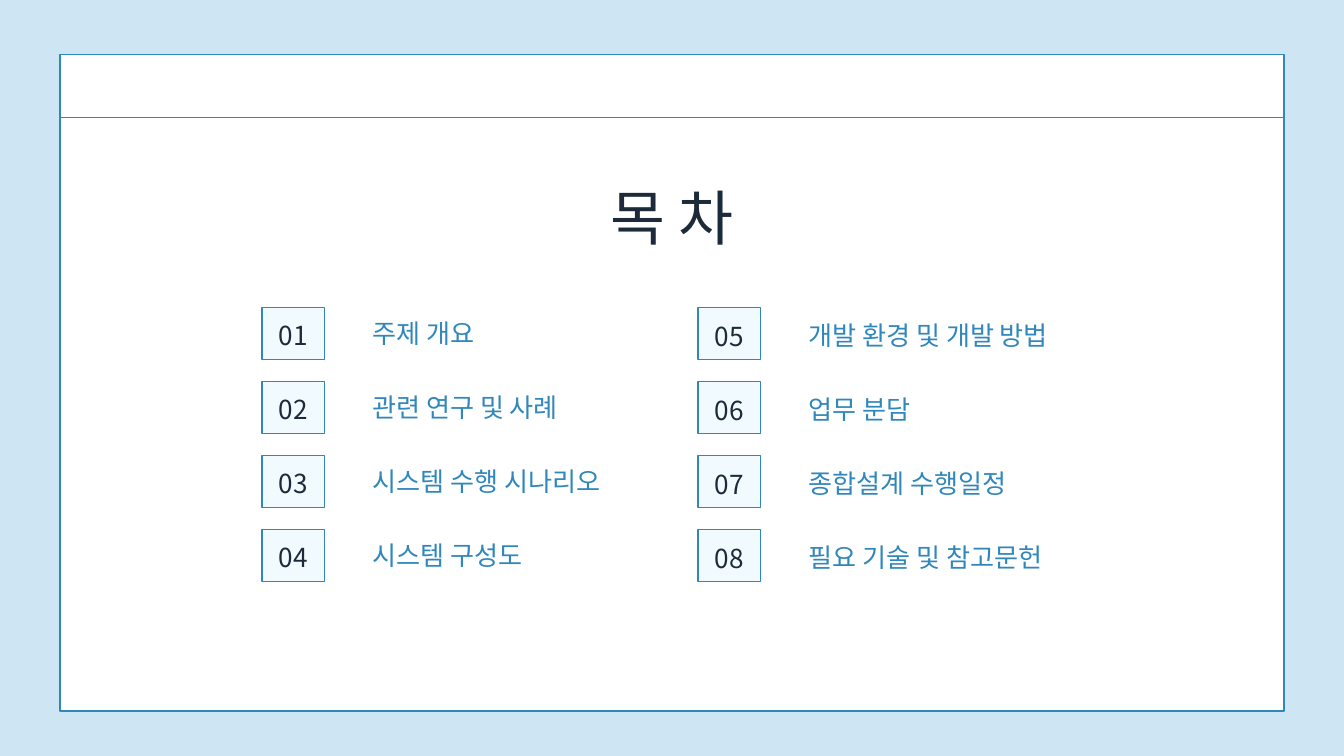
from lxml import etree
from pptx import Presentation
from pptx.dml.color import RGBColor
from pptx.enum.shapes import MSO_CONNECTOR, MSO_SHAPE
from pptx.enum.text import MSO_ANCHOR, PP_ALIGN
from pptx.oxml.ns import qn
from pptx.util import Inches, Pt

RECT = MSO_SHAPE.RECTANGLE
LINE = MSO_CONNECTOR.STRAIGHT
TOP = MSO_ANCHOR.TOP
LEFT, MID = PP_ALIGN.LEFT, PP_ALIGN.CENTER

SKY = RGBColor(0xCE, 0xE6, 0xF4)
WHITE = RGBColor(0xFF, 0xFF, 0xFF)
BLUE = RGBColor(0x30, 0x87, 0xBB)
PALE = RGBColor(0xF1, 0xFA, 0xFF)
DARK = RGBColor(0x1D, 0x2A, 0x3A)
FONT = "Noto Sans CJK KR"

WIDE, HIGH = 20, 11.25

deck = Presentation()
deck.slide_width, deck.slide_height = Inches(WIDE), Inches(HIGH)
slide = deck.slides.add_slide(deck.slide_layouts[6])
slide.background.fill.solid()
slide.background.fill.fore_color.rgb = SKY


def add_box(x, y, w, h, fill):
    box = slide.shapes.add_shape(RECT, Inches(x), Inches(y), Inches(w), Inches(h))
    box.shadow.inherit = False
    box.fill.solid()
    box.fill.fore_color.rgb = fill
    box.line.color.rgb = BLUE
    box.line.width = Pt(1.5)


def add_text(x, y, w, h, words, size, color, align, pitch):
    box = slide.shapes.add_textbox(Inches(x), Inches(y), Inches(w), Inches(h))
    frame = box.text_frame
    frame.word_wrap = True
    frame.vertical_anchor = TOP
    frame.margin_left = frame.margin_right = 0
    frame.margin_top = frame.margin_bottom = 0
    para = frame.paragraphs[0]
    para.alignment = align
    para.line_spacing = Pt(pitch)
    run = para.add_run()
    run.text = words
    run.font.size = Pt(size)
    run.font.color.rgb = color
    run.font.name = FONT
    # Korean letters take the East Asian font
    etree.SubElement(run.font._element, qn("a:ea")).set("typeface", FONT)


# Window frame with its title bar
edge, head, bar = 0.89, 0.81, 1.75
add_box(edge, head, WIDE - 2 * edge, 9.77, WHITE)
rule = slide.shapes.add_connector(
    LINE, Inches(edge), Inches(bar), Inches(WIDE - edge), Inches(bar))
rule.line.color.rgb = BLUE
rule.line.width = Pt(1.5)
etree.SubElement(rule._element.spPr, qn("a:effectLst"))

# Heading
span = 6.13
add_text((WIDE - span) / 2, 2.51, span, 1.19, "목 차", 64, DARK, MID, 89.6)

# Contents: two columns of four numbered rows
COLS = [
    (3.9, 4.73, ["주제 개요", "관련 연구 및 사례",
                 "시스템 수행 시나리오", "시스템 구성도"]),
    (10.39, 4.75, ["개발 환경 및 개발 방법", "업무 분담",
                   "종합설계 수행일정", "필요 기술 및 참고문헌"]),
]
STEP = 1.1
num = 0
for x, base, names in COLS:
    for row, name in enumerate(names):
        num += 1
        down = row * STEP
        add_box(x, 4.58 + down, 0.93, 0.77, PALE)
        add_text(x - 0.18, base + 0.02 + down, 1.29, 0.45,
                 f"{num:02}", 28, DARK, MID, 33.6)
        add_text(x + 1.64, base + down, 4.25, 0.45,
                 name, 28, BLUE, LEFT, 33.6)

deck.save("out.pptx")
